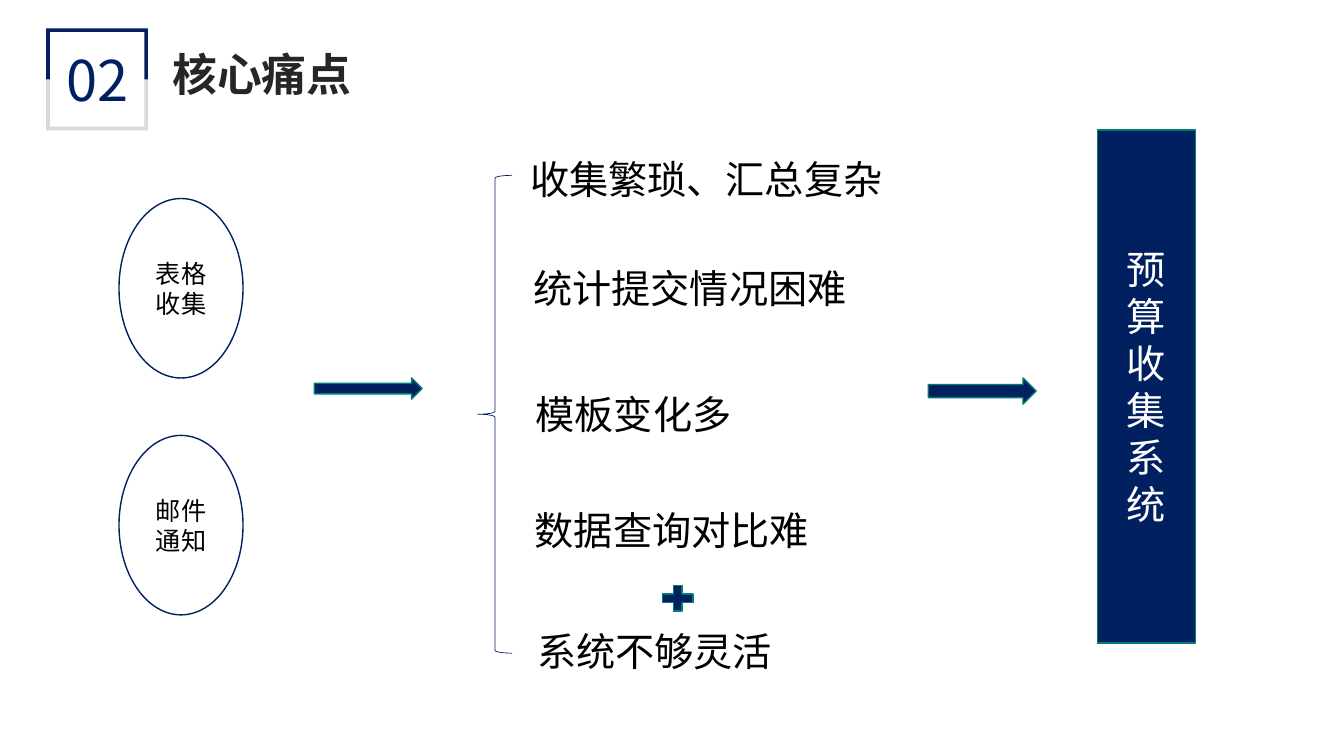
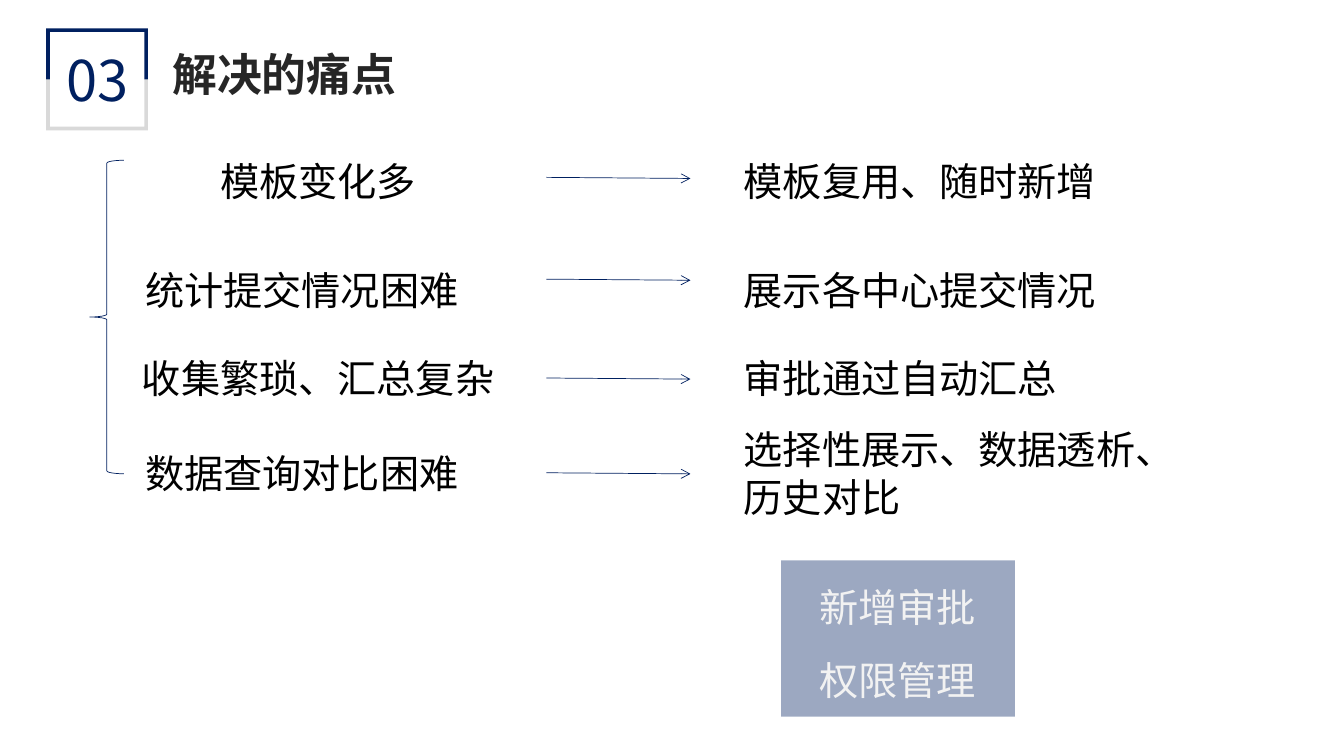
"""Build two slides on the pain points of budget collection and their fixes."""
from lxml import etree
from pptx import Presentation
from pptx.dml.color import RGBColor
from pptx.enum import shapes, text
from pptx.oxml import ns
from pptx.util import Pt

NAVY = RGBColor(0x00, 0x20, 0x60)
TEAL = RGBColor(0x01, 0x7C, 0x75)
GREY = RGBColor(0xD9, 0xD9, 0xD9)
DARK = RGBColor(0x26, 0x26, 0x26)
PALE = RGBColor(0xF2, 0xF2, 0xF2)
BLACK = RGBColor(0, 0, 0)
WHITE = RGBColor(255, 255, 255)
FONT = "Noto Sans CJK SC"
KIND = shapes.MSO_SHAPE
LEFT, MID = text.PP_ALIGN.LEFT, text.PP_ALIGN.CENTER
TOP, CENTER = text.MSO_ANCHOR.TOP, text.MSO_ANCHOR.MIDDLE
WIDE, HIGH = 277.2, 51.8

SOURCES = [("表格收集", 141.8), ("邮件通知", 311)]
PAINS = [
    ("收集繁琐、汇总复杂", 365.8, 101.5),
    ("统计提交情况困难", 354.2, 180),
    ("模板变化多", 313.9, 270),
    ("数据查询对比难", 341.3, 352.8),
    ("系统不够灵活", 329, 439.2),
]
GOAL = "预算收集系统"
MARKS = [
    (KIND.RIGHT_ARROW, (224.6, 270, 77, 15.1)),
    (KIND.RIGHT_ARROW, (663.1, 270, 77, 18.7)),
    (KIND.MATH_PLUS, (469.4, 414.7, 29.5, 25.2)),
]
FIXES = [
    ("模板变化多", 88.6, "模板复用、随时新增", 103, 126.7),
    ("统计提交情况困难", 77, "展示各中心提交情况", 181.4, 199.4),
    ("收集繁琐、汇总复杂", 88.6, "审批通过自动汇总", 244.1, 270),
    ("数据查询对比困难", 77, "选择性展示、数据透析、历史对比", 311.8, 337.7),
]
EXTRAS = [("新增审批", 407.5), ("权限管理", 459.4)]


def pts(box):
    return [Pt(v) for v in box]


def write(shape, words, size, color, align=MID, anchor=CENTER, bold=False):
    frame = shape.text_frame
    frame.word_wrap = True
    frame.vertical_anchor = anchor
    para = frame.paragraphs[0]
    para.alignment = align
    run = para.add_run()
    run.text = words
    font = run.font
    font.name, font.size, font.bold = FONT, Pt(size), bold
    font.color.rgb = color
    east = etree.SubElement(font._element, ns.qn("a:ea"))
    east.set("typeface", FONT)


def label(slide, words, box, size=28, color=BLACK, align=MID, anchor=CENTER):
    write(slide.shapes.add_textbox(*pts(box)), words, size, color, align, anchor)


def paint(shape, fill=None, line=None, width=1):
    shape.shadow.inherit = False
    if fill is None:
        shape.fill.background()
    else:
        shape.fill.solid()
        shape.fill.fore_color.rgb = fill
    if line is None:
        shape.line.fill.background()
    else:
        shape.line.color.rgb = line
        shape.line.width = Pt(width)


def draw(slide, kind, box, fill=None, line=None, width=1):
    shape = slide.shapes.add_shape(kind, *pts(box))
    paint(shape, fill, line, width)
    return shape


def brace(slide, box):
    draw(slide, KIND.LEFT_BRACE, box, line=NAVY, width=0.5)


def arrow(slide, left, top, right, end):
    kind = shapes.MSO_CONNECTOR.STRAIGHT
    link = slide.shapes.add_connector(kind, *pts((left, top, right, end)))
    link.line.color.rgb = NAVY
    link.line.width = Pt(0.5)
    tail = etree.SubElement(link.line._get_or_add_ln(), ns.qn("a:tailEnd"))
    tail.set("type", "arrow")
    etree.SubElement(link._element.spPr, ns.qn("a:effectLst"))


def bracket(slide, edge, way, color):
    left, right, mid, thick = 33, 105.7, 56.7, 2.6
    inner = edge - way * thick
    dots = [(left, edge), (right, edge), (right, mid), (right - thick, mid),
            (right - thick, inner), (left + thick, inner),
            (left + thick, mid), (left, mid)]
    dots = [pts(dot) for dot in dots]
    path = slide.shapes.build_freeform(*dots[0], scale=1.0)
    path.add_line_segments(dots[1:], close=True)
    paint(path.convert_to_shape(), color)


def start(deck, number, words):
    slide = deck.slides.add_slide(deck.slide_layouts[5])
    title = slide.shapes.title
    title.left, title.top, title.width, title.height = pts((115.9, 29.5, 600, 46.1))
    write(title, words, 32, DARK, LEFT, TOP, True)
    bracket(slide, 93.1, 1, GREY)
    bracket(slide, 20.3, -1, NAVY)
    label(slide, number, (33, 28.8, 72.7, 55.4), 40, NAVY, anchor=TOP)
    return slide


def pains(deck):
    slide = start(deck, "02", "核心痛点")
    for words, top in SOURCES:
        oval = draw(slide, KIND.OVAL, (85, top, 88.6, 128.2), line=NAVY)
        write(oval, words, 18, BLACK)
    for words, left, top in PAINS:
        label(slide, words, (left, top, WIDE, HIGH))
    for kind, box in MARKS:
        draw(slide, kind, box, NAVY, TEAL)
    goal = draw(slide, KIND.RECTANGLE, (784.1, 92.9, 69.8, 366.5), NAVY, TEAL)
    write(goal, GOAL, 28, WHITE)
    brace(slide, (341.3, 125.3, 24.5, 341.3))


def fixes(deck):
    slide = start(deck, "03", "解决的痛点")
    panel = draw(slide, KIND.RECTANGLE, (558, 400.3, 167, 111.6), NAVY)
    tint = panel._element.spPr.find(".//" + ns.qn("a:srgbClr"))
    etree.SubElement(tint, ns.qn("a:alpha")).set("val", "39000")
    for pain, left, cure, top, level in FIXES:
        label(slide, pain, (left, top, WIDE, HIGH))
        label(slide, cure, (524.2, top, 329.8, HIGH), align=LEFT)
        arrow(slide, 390.2, level, 493.2, level + 0.8)
    for words, top in EXTRAS:
        label(slide, words, (502.6, top, WIDE, HIGH), color=PALE)
    brace(slide, (64.1, 114.5, 24.5, 223.9))


def main():
    deck = Presentation()
    deck.slide_width, deck.slide_height = pts((960, 540))
    pains(deck)
    fixes(deck)
    deck.save("out.pptx")


if __name__ == "__main__":
    main()
